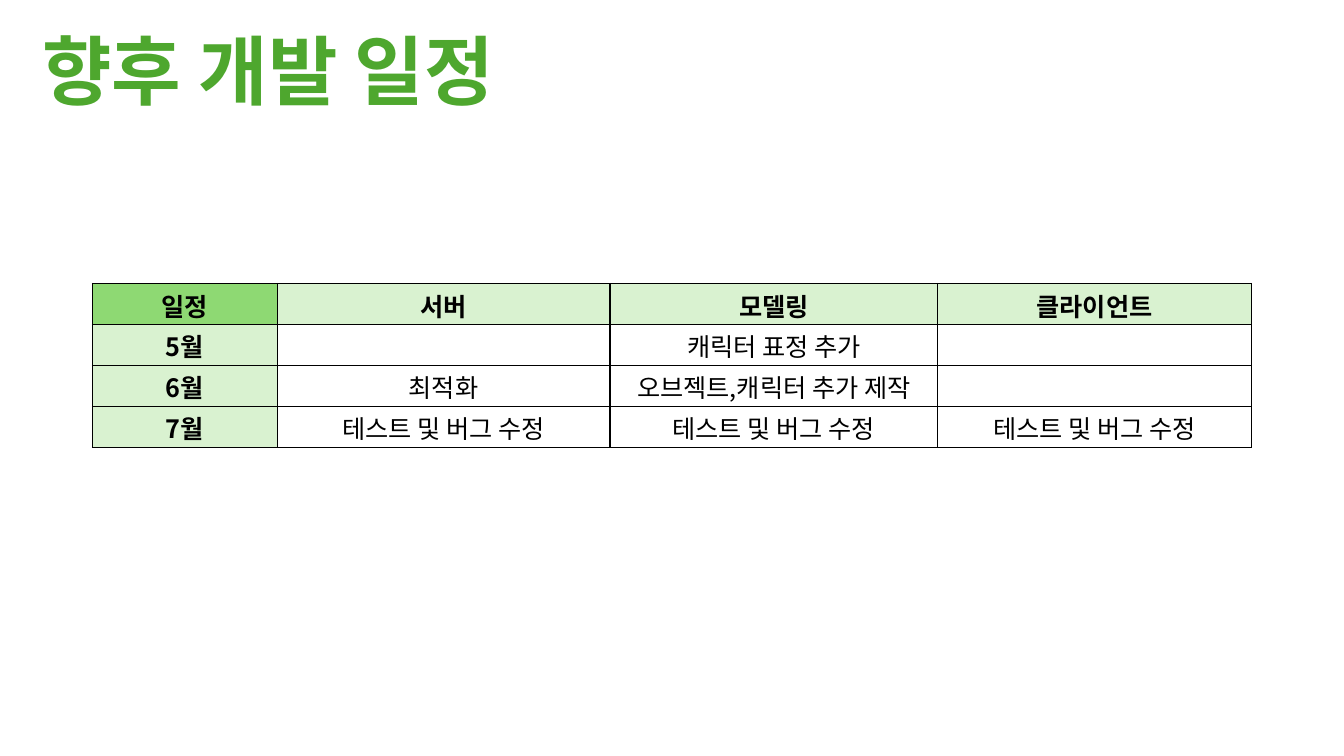
from lxml.etree import SubElement
from pptx import Presentation
from pptx.dml.color import RGBColor
from pptx.enum.text import MSO_ANCHOR, MSO_AUTO_SIZE, PP_ALIGN
from pptx.oxml.ns import qn
from pptx.util import Pt

PX = 9525
FONT = "Noto Sans CJK KR"
COLORS = {
    "title": "4EA72E",
    "text": "000000",
    "corner": "8ED973",
    "header": "D9F2D0",
    "border": "000000",
}
COLUMN_WIDTHS = [176, 317, 312, 299]
ROW_HEIGHT = 39
SCHEDULE = [
    ["일정", "서버", "모델링", "클라이언트"],
    ["5월", "", "캐릭터 표정 추가", ""],
    ["6월", "최적화", "오브젝트,캐릭터 추가 제작", ""],
    ["7월"] + ["테스트 및 버그 수정"] * 3,
]


def px(n):
    """Turn pixels into EMU."""
    return n * PX


def rgb(name):
    """Look up a named colour."""
    return RGBColor.from_string(COLORS[name])


def style_text(tf, size, color, bold):
    """Format every run of a text frame."""
    for p in tf.paragraphs:
        for r in p.runs:
            r.font.name = FONT
            r.font.size = Pt(size)
            r.font.bold = bold
            r.font.color.rgb = rgb(color)
            SubElement(r.font._element, qn("a:ea"), typeface=FONT)


def add_title(s, text):
    """Add the slide heading."""
    sp = s.shapes.add_textbox(px(31), px(18), px(463), px(97))
    tf = sp.text_frame
    tf.word_wrap = False
    tf.auto_size = MSO_AUTO_SIZE.SHAPE_TO_FIT_TEXT
    tf.text = text
    style_text(tf, 54, "title", True)


def add_borders(cell):
    """Draw a thin line on all four sides of a cell."""
    tcPr = cell._tc.get_or_add_tcPr()
    for i, side in enumerate(("lnL", "lnR", "lnT", "lnB")):
        ln = tcPr.makeelement(qn(f"a:{side}"), {"w": str(Pt(1))})
        fill = SubElement(ln, qn("a:solidFill"))
        SubElement(fill, qn("a:srgbClr"), val=COLORS["border"])
        tcPr.insert(i, ln)


def fill_cell(cell, text, fill):
    """Set the text, fill and borders of one cell."""
    cell.margin_top, cell.margin_bottom = px(2), 0
    cell.vertical_anchor = MSO_ANCHOR.MIDDLE
    if fill:
        cell.fill.solid()
        cell.fill.fore_color.rgb = rgb(fill)
    else:
        cell.fill.background()
    add_borders(cell)
    tf = cell.text_frame
    tf.text = text
    tf.paragraphs[0].alignment = PP_ALIGN.CENTER
    style_text(tf, 18, "text", bool(fill))


def add_schedule(s, rows):
    """Add the schedule table with a header row and a header column."""
    table = s.shapes.add_table(
        len(rows), len(COLUMN_WIDTHS), px(88), px(270),
        px(sum(COLUMN_WIDTHS)), px(ROW_HEIGHT * len(rows)),
    ).table
    table.first_row = table.horz_banding = False
    for column, width in zip(table.columns, COLUMN_WIDTHS):
        column.width = px(width)
    for i, row in enumerate(rows):
        table.rows[i].height = px(ROW_HEIGHT)
        for j, text in enumerate(row):
            fill = "corner" if i == j == 0 else "header" if i * j == 0 else None
            fill_cell(table.cell(i, j), text, fill)


def main():
    """Build and save the slide."""
    prs = Presentation()
    prs.slide_width, prs.slide_height = px(1280), px(720)
    s = prs.slides.add_slide(prs.slide_layouts[6])
    add_title(s, "향후 개발 일정")
    add_schedule(s, SCHEDULE)
    prs.save("out.pptx")


if __name__ == "__main__":
    main()
